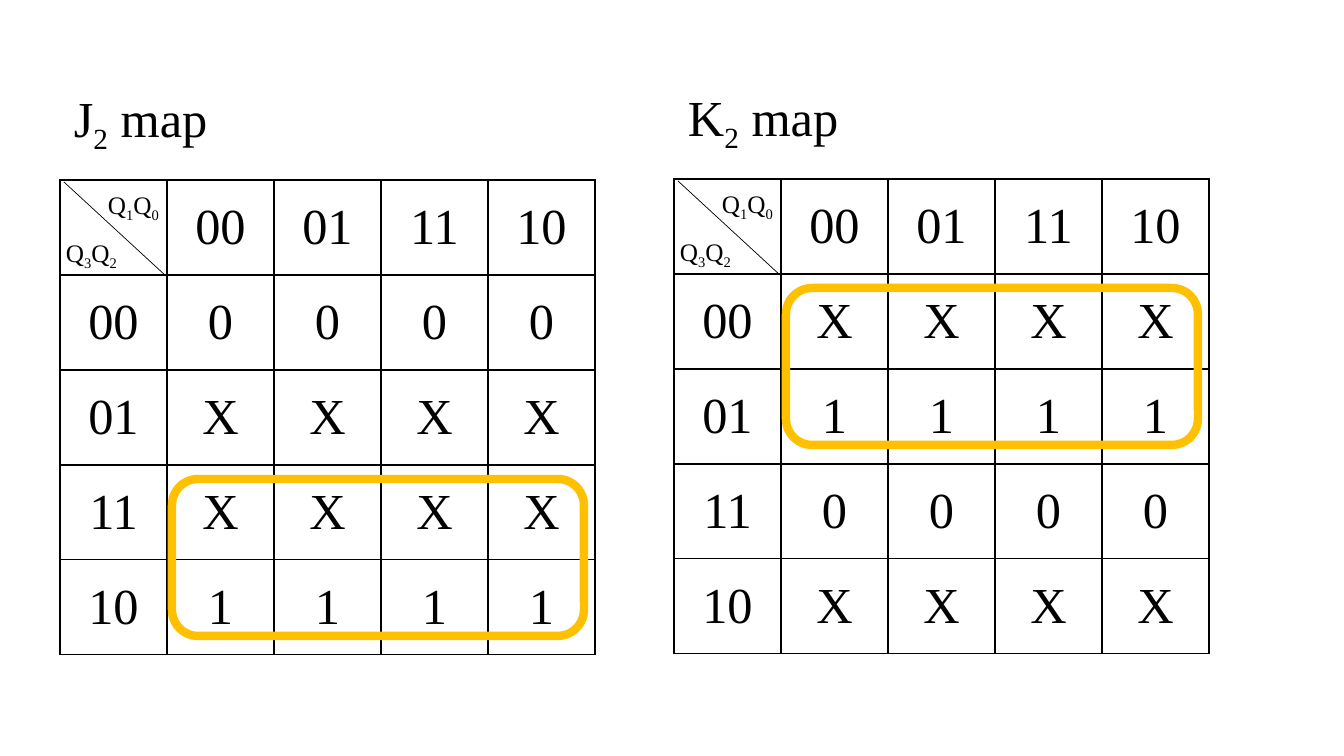
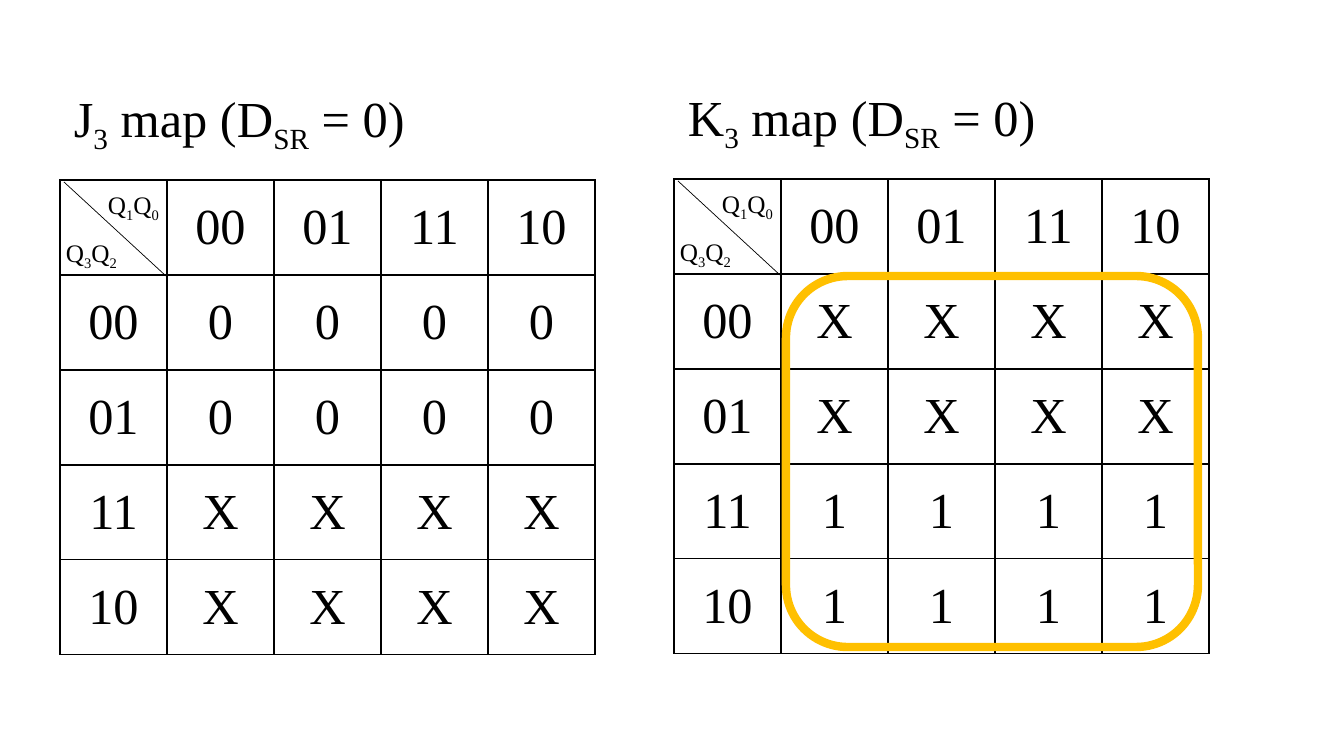
from pptx import Presentation, util as u
from pptx.dml.color import RGBColor
from pptx.enum import shapes, text
from pptx.oxml import parse_xml
from pptx.oxml.ns import nsdecls
from lxml import etree

PX = 914400 / 100.8
HUES = {"ink": "000000", "loop": "FFC000"}
FACE = "Times New Roman"
COL, ROW = 107, 95
CODES = ["00", "01", "11", "10"]
CELL = {"margin_left": 8, "margin_right": 8, "margin_top": 4, "margin_bottom": 4}
FRAME = {"word_wrap": False, "auto_size": text.MSO_AUTO_SIZE.SHAPE_TO_FIT_TEXT}
FLAGS = {"first_row": False, "horz_banding": False}


def emu(*nums):
    """Turn pixels into EMU."""
    return [u.Emu(round(n * PX)) for n in nums]


def apply(item, look):
    """Set each named attribute of an item."""
    for name, value in look.items():
        setattr(item, name, value)


def write(para, words, size):
    """Fill a paragraph; every second part between bars is a subscript."""
    for i, part in enumerate(words.split("|")):
        if not part:
            continue
        run = para.add_run()
        apply(run, {"text": part})
        apply(run.font, {"size": u.Pt(size), "name": FACE})
        run.font.color.rgb = RGBColor.from_string(HUES["ink"])
        if i % 2:
            run.font._element.set("baseline", "-25000")


def label(slide, box, words, size):
    """Place a line of text that does not wrap."""
    frame = slide.shapes.add_textbox(*emu(*box)).text_frame
    apply(frame, FRAME)
    write(frame.paragraphs[0], words, size)


def stroke(item, hue, width):
    """Colour a line and set its width."""
    item.line.color.rgb = RGBColor.from_string(HUES[hue])
    item.line.width = u.Pt(width)


def edge(cell):
    """Draw a thin border on all four sides of a cell."""
    props = cell._tc.get_or_add_tcPr()
    for side in "LRTB":
        props.append(parse_xml(
            f'<a:ln{side} {nsdecls("a")} w="12700"><a:solidFill>'
            f'<a:srgbClr val="{HUES["ink"]}"/></a:solidFill></a:ln{side}>'))


def grid(slide, x, y, rows):
    """Draw the table of codes and values."""
    cells = [["", *CODES]] + [[code, *row] for code, row in zip(CODES, rows)]
    count = len(cells)
    table = slide.shapes.add_table(
        count, count, *emu(x, y, count * COL, count * ROW)).table
    apply(table, FLAGS)
    for i, line in enumerate(cells):
        table.rows[i].height, table.columns[i].width = emu(ROW, COL)
        for j, words in enumerate(line):
            cell = table.cell(i, j)
            apply(cell, dict(zip(CELL, emu(*CELL.values()))))
            cell.vertical_anchor = text.MSO_ANCHOR.MIDDLE
            edge(cell)
            cell.fill.background()
            para = cell.text_frame.paragraphs[0]
            para.alignment = text.PP_ALIGN.CENTER
            write(para, words, 36)


def corner(slide, x, y):
    """Split the top left cell between row and column names."""
    slash = slide.shapes.add_connector(
        shapes.MSO_CONNECTOR.STRAIGHT, *emu(x + 4, y + 2, x + 106, y + 96))
    stroke(slash, "ink", 0.5)
    etree.SubElement(slash._element.spPr,
                     "{http://schemas.openxmlformats.org/drawingml/2006/main}effectLst")
    label(slide, (x - 4, y + 52, 74, 40), "Q|3|Q|2", 18)
    label(slide, (x + 38, y + 4, 74, 40), "Q|1|Q|0", 18)


def loop(slide, x, y, first, count, pad):
    """Ring a group of whole rows."""
    box = (x + COL + 5, y + first * ROW + pad, 412, count * ROW - 2 * pad - 5)
    ring = slide.shapes.add_shape(shapes.MSO_SHAPE.ROUNDED_RECTANGLE, *emu(*box))
    ring.shadow.inherit = False
    ring.fill.background()
    stroke(ring, "loop", 6)


def chart(slide, x, y, title, width, rows, group):
    """Draw one map with its title, table and ringed group."""
    grid(slide, x, y, [mark * 4 for mark in rows])
    label(slide, (x + 4, y - 98, width, 72), title, 36)
    corner(slide, x, y)
    if group:
        loop(slide, x, y, *group)


# Each map: title, title width, mark of each row, ring (first row, rows, pad)
PAGES = [
    [("J|2| map", 157, "0XX1", (3, 2, 14)),
     ("K|2| map", 174, "X10X", (1, 2, 14))],
    [("J|3| map (D|SR| = 0)", 362, "00XX", None),
     ("K|3| map (D|SR| = 0)", 379, "XX11", (1, 4, 2))],
]
SPOTS = [(60, 180), (674, 179)]

deck = Presentation()
deck.slide_width, deck.slide_height = emu(1344, 756)
for page in PAGES:
    slide = deck.slides.add_slide(deck.slide_layouts[6])
    for spot, data in zip(SPOTS, page):
        chart(slide, *spot, *data)
deck.save("out.pptx")
